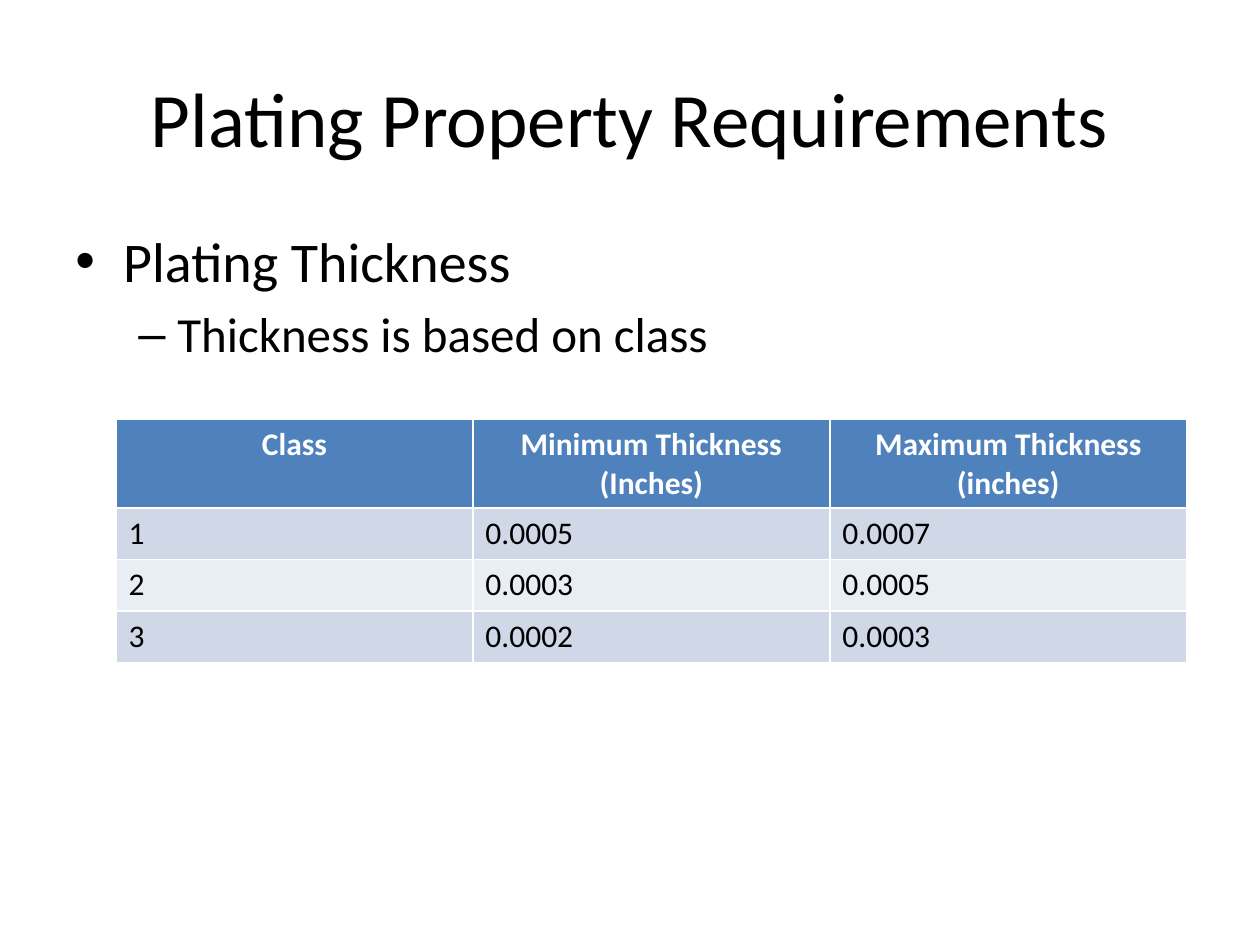
"""Build the plating property requirements slide."""
from lxml.etree import SubElement
from pptx import Presentation
from pptx.dml.color import RGBColor
from pptx.enum.text import MSO_ANCHOR, PP_ALIGN
from pptx.oxml.ns import qn
from pptx.util import Inches, Pt

FONT = "Calibri"
COLORS = {"ink": "000000", "header": "4F81BD", "header_text": "FFFFFF",
          "odd": "D0D8E8", "even": "E9EDF4"}
TITLE = "Plating Property Requirements"
POINTS = [
    {"text": "Plating Thickness", "level": 0, "size": 32, "bullet": "•",
     "margin": 0.38, "hang": 0.38},
    {"text": "Thickness is based on class", "level": 1, "size": 28, "bullet": "–",
     "margin": 0.81, "hang": 0.31},
]
THICKNESS = [
    ("Class", "Minimum Thickness\n(Inches)", "Maximum Thickness\n(inches)"),
    ("1", "0.0005", "0.0007"),
    ("2", "0.0003", "0.0005"),
    ("3", "0.0002", "0.0003"),
]
HEADER_HEIGHT, ROW_HEIGHT = 0.7, 0.41


def rgb(name):
    return RGBColor.from_string(COLORS[name])


def set_font(paragraph, size, color="ink", bold=False):
    font = paragraph.font
    font.name, font.size, font.bold = FONT, Pt(size), bold
    font.color.rgb = rgb(color)


def add_text_frame(slide, left, top, width, height):
    box = slide.shapes.add_textbox(*map(Inches, (left, top, width, height)))
    box.text_frame.word_wrap = True
    return box.text_frame


def set_bullet(paragraph, mark, margin, hang):
    props = paragraph._p.get_or_add_pPr()
    props.set("marL", str(Inches(margin)))
    props.set("indent", str(-Inches(hang)))
    SubElement(props, qn("a:buFont"), typeface="Arial")
    SubElement(props, qn("a:buChar"), char=mark)


prs = Presentation()
prs.slide_width, prs.slide_height = Inches(10), Inches(7.5)
slide = prs.slides.add_slide(prs.slide_layouts[6])

title = add_text_frame(slide, 0.5, 0.3, 9, 1.25)
title.vertical_anchor = MSO_ANCHOR.MIDDLE
title.text = TITLE
title.paragraphs[0].alignment = PP_ALIGN.CENTER
set_font(title.paragraphs[0], 44)

body = add_text_frame(slide, 0.5, 1.75, 9, 4.95)
body.text = "\n".join(point["text"] for point in POINTS)
for paragraph, point in zip(body.paragraphs, POINTS):
    paragraph.level = point["level"]
    paragraph.space_before = Pt(point["size"] * 0.2)
    set_bullet(paragraph, point["bullet"], point["margin"], point["hang"])
    set_font(paragraph, point["size"])

table_height = HEADER_HEIGHT + ROW_HEIGHT * (len(THICKNESS) - 1)
table = slide.shapes.add_table(
    len(THICKNESS), len(THICKNESS[0]),
    Inches(0.92), Inches(3.33), Inches(8.5), Inches(table_height)).table
for r, values in enumerate(THICKNESS):
    is_header = r == 0
    table.rows[r].height = Inches(HEADER_HEIGHT if is_header else ROW_HEIGHT)
    fill = "header" if is_header else "odd" if r % 2 else "even"
    for c, value in enumerate(values):
        cell = table.cell(r, c)
        cell.fill.solid()
        cell.fill.fore_color.rgb = rgb(fill)
        cell.text = value
        for paragraph in cell.text_frame.paragraphs:
            paragraph.alignment = PP_ALIGN.CENTER if is_header else PP_ALIGN.LEFT
            set_font(paragraph, 18, "header_text" if is_header else "ink", is_header)

prs.save("out.pptx")
